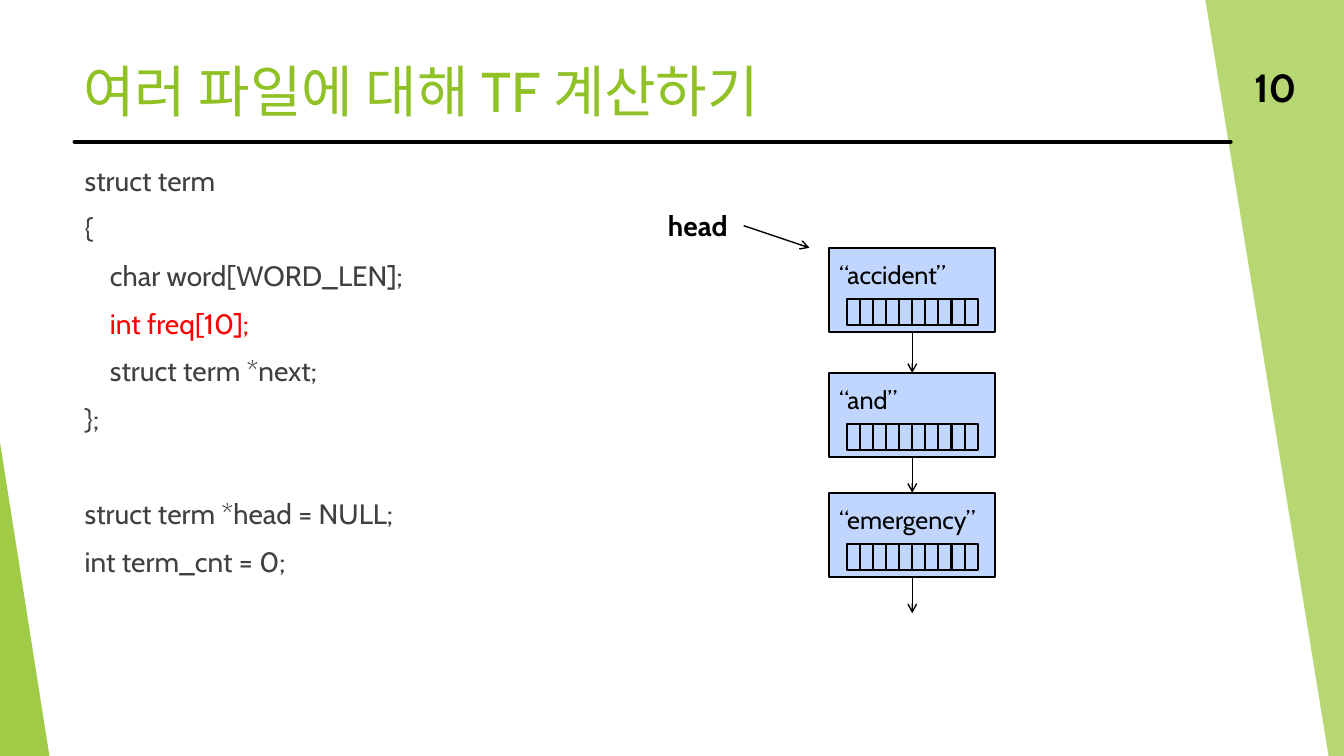
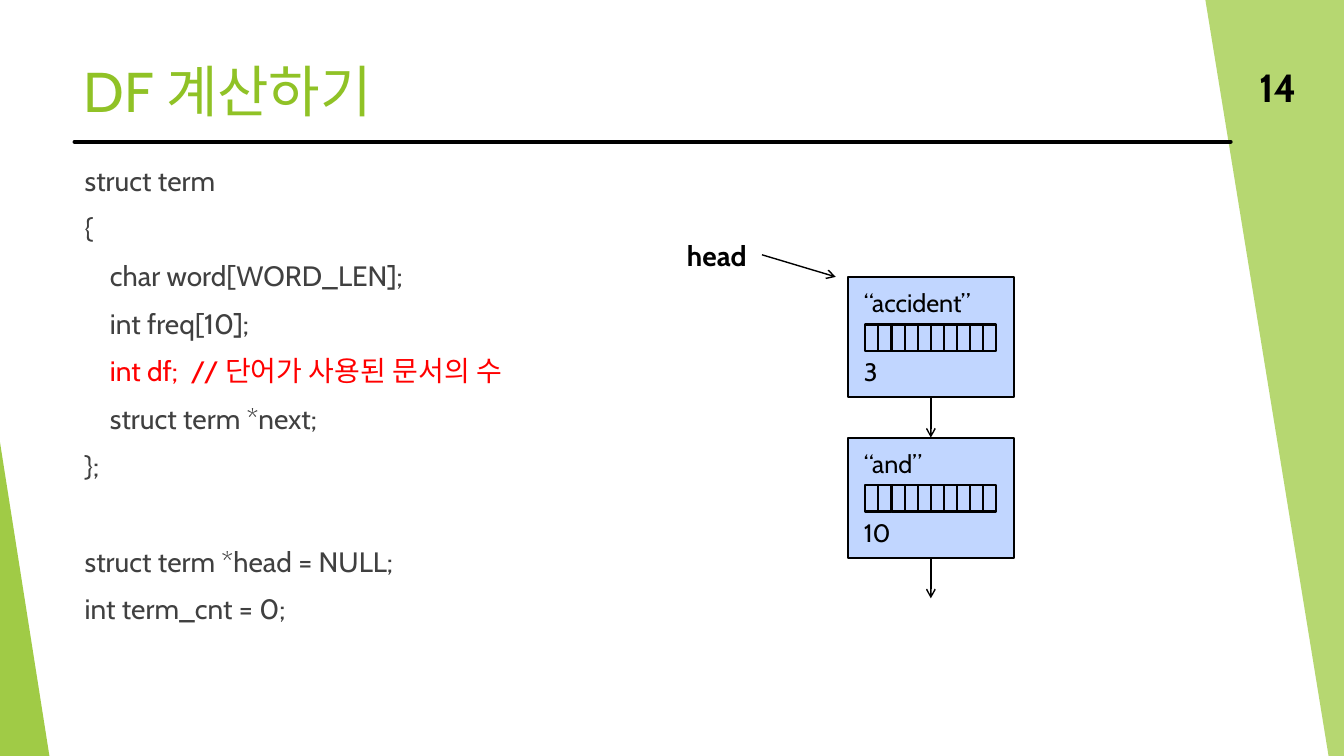
"""Build two slides on term lists and their per-file frequencies."""
from lxml import etree
from pptx import Presentation
from pptx.dml.color import RGBColor
from pptx.enum.shapes import MSO_CONNECTOR, MSO_SHAPE
from pptx.enum.text import MSO_ANCHOR, MSO_AUTO_SIZE, PP_ALIGN
from pptx.oxml.ns import qn
from pptx.util import Pt

RECTANGLE = MSO_SHAPE.RECTANGLE
TRIANGLE = MSO_SHAPE.ISOSCELES_TRIANGLE
STRAIGHT = MSO_CONNECTOR.STRAIGHT
TOP, MIDDLE = MSO_ANCHOR.TOP, MSO_ANCHOR.MIDDLE
LEFT, RIGHT = PP_ALIGN.LEFT, PP_ALIGN.RIGHT
NO_AUTOFIT = MSO_AUTO_SIZE.NONE

FONT = "Cabin"
GREEN, GREY, RED, BLACK, BLUE = "90C226", "404040", "FF0000", "000000", "6699FF"
SLIDE_WIDTH, SLIDE_HEIGHT = 960, 540
TITLE_BOX = (52.5, 35.3, 800, 57.6)
BODY_BOX = (53.3, 113, 412.6, 363)
NUMBER_BOX = (879, 47.5, 54, 28.8)
NODE_WIDTH = 118.8
CELL_COUNT, CELL_WIDTH, CELL_HEIGHT = 10, 9.36, 18.8

GLOBALS = ["struct term *head = NULL;", "int term_cnt = 0;"]
SLIDES = [
    {
        "title": "여러 파일에 대해 TF 계산하기",
        "number": "10",
        "struct": ["struct term", "{", "    char word[WORD_LEN];", "    int freq[10];",
                   "    struct term *next;", "};"],
        "red": "    int freq[10];",
        "head": (470, 145.4),
        "head_arrow": (531.2, 161.2, 578.2, 177),
        "node_left": 592.2,
        "node_height": 60,
        "node_inset": (7.2, 8.3),
        "cell_offset": 36.5,
        "nodes": [(177, ["“accident”"]), (266.4, ["“and”"]), (352, ["“emergency”"])],
        "last_arrow": 26,
    },
    {
        "title": "DF 계산하기",
        "number": "14",
        "struct": ["struct term", "{", "    char word[WORD_LEN];", "    int freq[10];",
                   "    int df;  // 단어가 사용된 문서의 수", "    struct term *next;", "};"],
        "red": "    int df;  // 단어가 사용된 문서의 수",
        "head": (483.6, 166.2),
        "head_arrow": (544.3, 182, 597, 197.8),
        "node_left": 605.5,
        "node_height": 86,
        "node_inset": (11.5, 7.5),
        "cell_offset": 34,
        "nodes": [(197.8, ["“accident”", "3"]), (312.6, ["“and”", "10"])],
        "last_arrow": 28.8,
    },
]


def color(value):
    return RGBColor.from_string(value)


def points(values):
    return [Pt(value) for value in values]


def set_fill(shape, value, opacity):
    shape.shadow.inherit = False
    shape.fill.solid()
    shape.fill.fore_color.rgb = color(value)
    solid = shape.element.spPr.find(qn("a:solidFill"))
    etree.SubElement(solid[0], qn("a:alpha")).set("val", str(opacity * 1000))


def set_line(shape, width):
    shape.line.color.rgb = color(BLACK)
    shape.line.width = Pt(width)


def style(paragraph, size, value, bold=False, align=LEFT, before=0):
    paragraph.alignment = align
    paragraph.space_before = Pt(before)
    for run in paragraph.runs:
        run.font.name = FONT
        run.font.size = Pt(size)
        run.font.bold = bold
        run.font.color.rgb = color(value)


def add_line(slide, ends, width):
    connector = slide.shapes.add_connector(STRAIGHT, *points(ends))
    set_line(connector, width)
    etree.SubElement(connector.element.spPr, qn("a:effectLst"))
    return connector


def add_arrow(slide, ends):
    connector = add_line(slide, ends, 1)
    outline = connector.element.spPr.find(qn("a:ln"))
    etree.SubElement(outline, qn("a:tailEnd")).set("type", "arrow")
    return connector


def add_label(slide, box, text, size, align):
    label = slide.shapes.add_textbox(*points(box))
    frame = label.text_frame
    frame.text = text
    frame.word_wrap = align == RIGHT
    frame.vertical_anchor = MIDDLE
    style(frame.paragraphs[0], size, BLACK, True, align)


def decorate_layout(layout, slide):
    """Draw the shared bands and rule, then move them to the layout."""
    builder = slide.shapes.build_freeform(Pt(861), 0, scale=1.0)
    corners = [(SLIDE_WIDTH, 0), (SLIDE_WIDTH, SLIDE_HEIGHT), (949, SLIDE_HEIGHT)]
    builder.add_line_segments([points(corner) for corner in corners], close=True)
    right_band = builder.convert_to_shape()
    left_band = slide.shapes.add_shape(TRIANGLE, *points((0, 316, 35.3, 224)))
    left_band.adjustments[0] = 0
    for band, opacity in ((right_band, 65), (left_band, 85)):
        set_fill(band, GREEN, opacity)
        band.line.fill.background()
    rule = add_line(slide, (53.3, 101.3, 879, 101.3), 3)
    rule.element.spPr.find(qn("a:ln")).set("cap", "rnd")
    for number, shape in enumerate((right_band, left_band, rule), 101):
        shape.element.xpath(".//p:cNvPr")[0].set("id", str(number))
        layout.shapes.element.append(shape.element)
    for placeholder, box in zip(layout.placeholders, (TITLE_BOX, BODY_BOX)):
        (placeholder.left, placeholder.top,
         placeholder.width, placeholder.height) = points(box)


def write_title(slide, text):
    frame = slide.shapes.title.text_frame
    frame.text = text
    frame.auto_size = NO_AUTOFIT
    frame.vertical_anchor = MIDDLE
    style(frame.paragraphs[0], 40, GREEN)


def write_code(slide, content):
    frame = slide.placeholders[1].text_frame
    lines = content["struct"] + GLOBALS
    frame.text = "\n".join(lines)
    frame.auto_size = NO_AUTOFIT
    for index, (paragraph, line) in enumerate(zip(frame.paragraphs, lines)):
        properties = paragraph._p.get_or_add_pPr()
        properties.set("marL", "0")
        properties.set("indent", "0")
        etree.SubElement(properties, qn("a:buNone"))
        before = 44 if line == GLOBALS[0] else 10 if index else 0
        style(paragraph, 20, RED if line == content["red"] else GREY, before=before)


def add_node(slide, content, top, texts):
    left, height = content["node_left"], content["node_height"]
    node = slide.shapes.add_shape(RECTANGLE, *points((left, top, NODE_WIDTH, height)))
    set_fill(node, BLUE, 40)
    set_line(node, 1.5)
    frame = node.text_frame
    frame.text = "\n".join(texts)
    frame.word_wrap = True
    frame.vertical_anchor = TOP
    frame.margin_left, frame.margin_top = points(content["node_inset"])
    for index, paragraph in enumerate(frame.paragraphs):
        style(paragraph, 18, BLACK, before=27.6 if index else 0)

    frequencies = slide.shapes.add_group_shape()
    first = left + (NODE_WIDTH - CELL_COUNT * CELL_WIDTH) / 2
    for index in range(CELL_COUNT):
        box = (first + index * CELL_WIDTH, top + content["cell_offset"],
               CELL_WIDTH, CELL_HEIGHT)
        cell = frequencies.shapes.add_shape(RECTANGLE, *points(box))
        cell.shadow.inherit = False
        cell.fill.background()
        set_line(cell, 1.5)
    return node


def add_linked_list(slide, content):
    add_label(slide, (*content["head"], 60.5, 31.7), "head", 20, LEFT)
    add_arrow(slide, content["head_arrow"])
    nodes = [add_node(slide, content, top, texts) for top, texts in content["nodes"]]
    center = content["node_left"] + NODE_WIDTH / 2
    bottoms = [top + content["node_height"] for top, _ in content["nodes"]]
    ends = [top for top, _ in content["nodes"][1:]]
    ends.append(bottoms[-1] + content["last_arrow"])
    for index, node in enumerate(nodes):
        arrow = add_arrow(slide, (center, bottoms[index], center, ends[index]))
        arrow.begin_connect(node, 2)
        if index + 1 < len(nodes):
            arrow.end_connect(nodes[index + 1], 0)


def main():
    presentation = Presentation()
    presentation.slide_width = Pt(SLIDE_WIDTH)
    presentation.slide_height = Pt(SLIDE_HEIGHT)
    layout = presentation.slide_layouts[1]
    for index, content in enumerate(SLIDES):
        slide = presentation.slides.add_slide(layout)
        if index == 0:
            decorate_layout(layout, slide)
        write_title(slide, content["title"])
        write_code(slide, content)
        add_linked_list(slide, content)
        add_label(slide, NUMBER_BOX, content["number"], 28, RIGHT)
    presentation.save("out.pptx")


if __name__ == "__main__":
    main()
